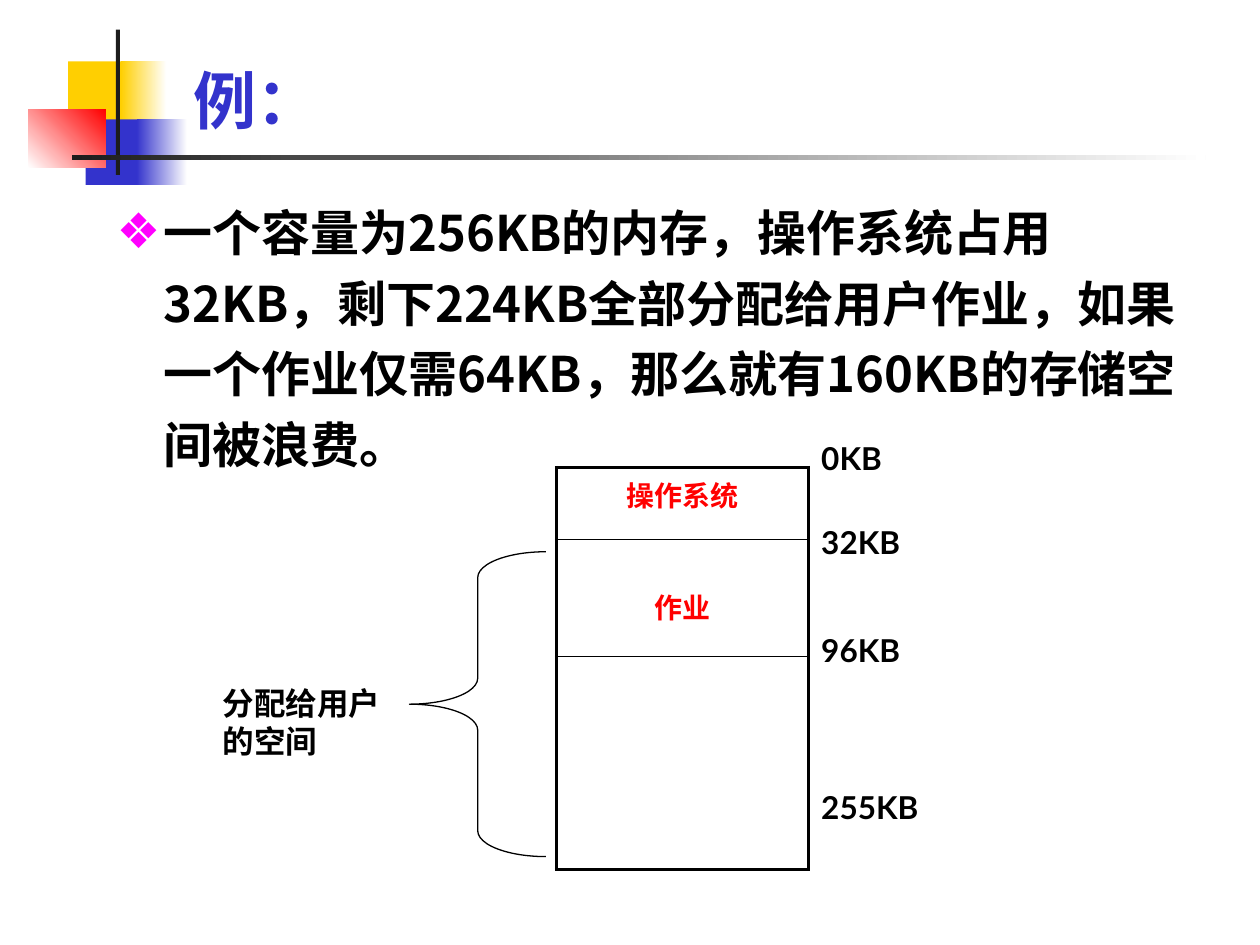
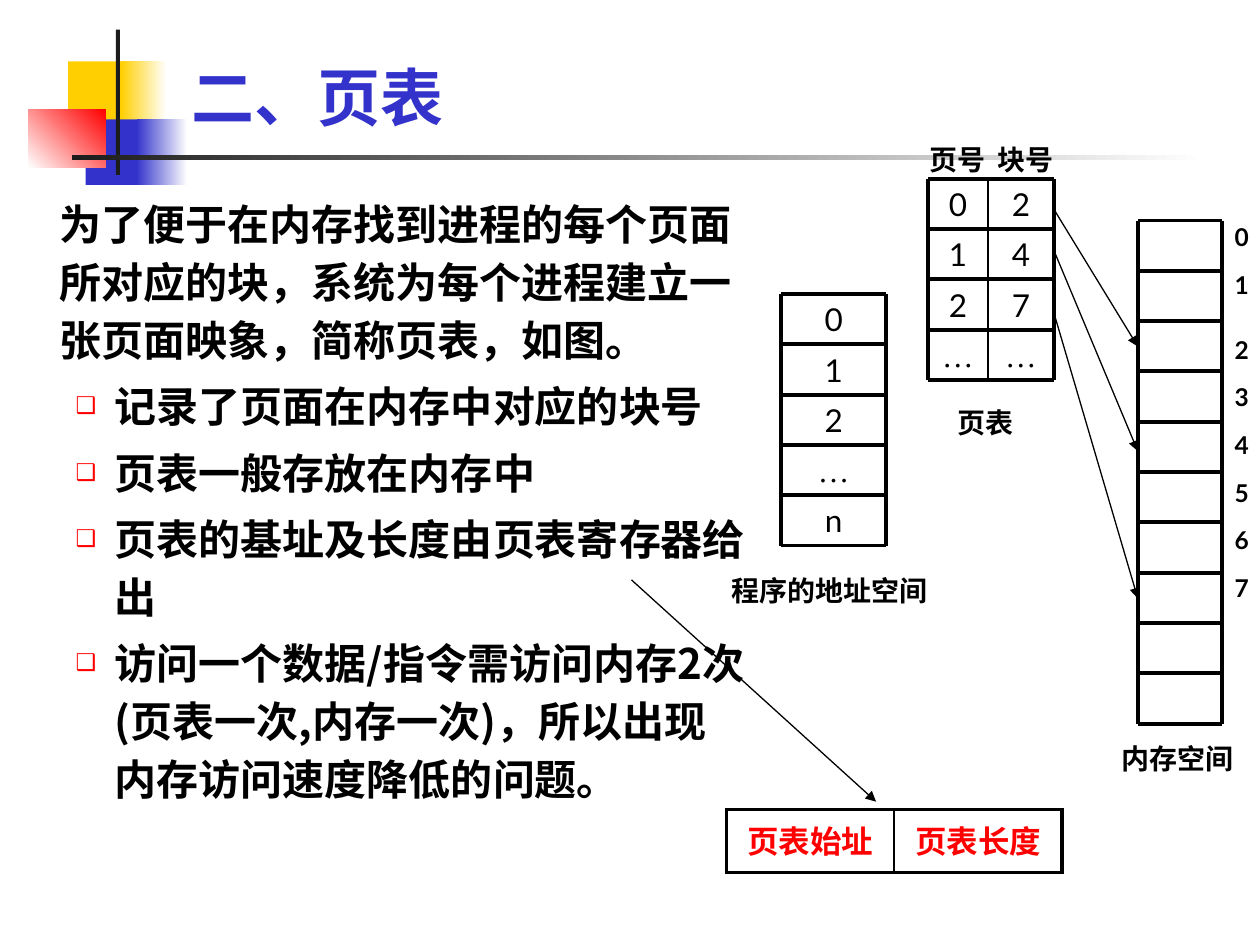
from dataclasses import dataclass
from itertools import accumulate

from lxml.etree import SubElement
from pptx import Presentation
from pptx.dml.color import RGBColor
from pptx.enum.shapes import MSO_CONNECTOR, MSO_SHAPE
from pptx.enum.text import MSO_ANCHOR, MSO_AUTO_SIZE, PP_ALIGN
from pptx.oxml.ns import qn
from pptx.util import Pt


@dataclass(frozen=True)
class Theme:
    """Colours, fonts, type sizes and line widths of the presentation."""

    black: str = "000000"
    ink: str = "1C1C1C"
    white: str = "FFFFFF"
    blue: str = "3333CC"
    yellow: str = "FFCF01"
    red: str = "FF0000"
    magenta: str = "FF00FF"
    font: str = "Lato"
    body_font: str = "Noto Sans CJK SC"
    ellipsis_font: str = "Times New Roman"
    title_size: float = 36
    lead_size: float = 28
    body_size: float = 24
    cell_size: float = 18
    label_size: float = 16
    number_size: float = 14
    thick: float = 2.25
    medium: float = 1
    thin: float = 0.75


THEME = Theme()


def points(*values):
    """Convert numbers to lengths in points."""
    return [Pt(value) for value in values]


def add_bullet(paragraph, character, color, percent):
    """Give a paragraph a bullet, or switch the inherited one off."""
    properties = paragraph._p.get_or_add_pPr()
    if character is None:
        SubElement(properties, qn("a:buNone"))
        return
    bullet_color = SubElement(properties, qn("a:buClr"))
    SubElement(bullet_color, qn("a:srgbClr"), val=color)
    SubElement(properties, qn("a:buSzPct"), val=str(percent * 1000))
    SubElement(properties, qn("a:buChar"), char=character)


def write(paragraph, text, size=THEME.label_size, color=THEME.black, font=THEME.font,
          bold=True, align=PP_ALIGN.LEFT, line_spacing=None, before=0):
    """Fill a paragraph with one formatted run."""
    paragraph.alignment = align
    paragraph.space_before = Pt(before)
    if line_spacing is not None:
        paragraph.line_spacing = line_spacing
    run = paragraph.add_run()
    run.text = text
    run.font.size = Pt(size)
    run.font.bold = bold
    run.font.name = font
    run.font.color.rgb = RGBColor.from_string(color)
    SubElement(run._r.get_or_add_rPr(), qn("a:ea"), typeface=font)


def add_label(slide, box, text, **text_format):
    """Add a wrapped text box centred vertically on its box."""
    frame = slide.shapes.add_textbox(*points(*box)).text_frame
    frame.word_wrap = True
    frame.vertical_anchor = MSO_ANCHOR.MIDDLE
    write(frame.paragraphs[0], text, **text_format)


def add_line(slide, start, end, width=THEME.thin, arrow=False):
    """Add a straight line between two points, with an arrowhead on request."""
    connector = slide.shapes.add_connector(MSO_CONNECTOR.STRAIGHT, *points(*start, *end))
    connector.line.color.rgb = RGBColor.from_string(THEME.black)
    connector.line.width = Pt(width)
    if arrow:
        SubElement(connector.line._get_or_add_ln(), qn("a:tailEnd"), type="triangle")
    SubElement(connector.element.spPr, qn("a:effectLst"))


def add_cell_borders(cell, widths):
    """Draw the left, right, top and bottom borders of a cell."""
    properties = cell._tc.get_or_add_tcPr()
    for side, width in zip("LRTB", widths):
        border = SubElement(properties, qn(f"a:ln{side}"), w=str(Pt(width)))
        fill = SubElement(border, qn("a:solidFill"))
        SubElement(fill, qn("a:srgbClr"), val=THEME.black)


def add_table(slide, left, top, columns, rows, texts, offsets, **text_format):
    """Add an unfilled table with a thick frame and texts offset from each row's top."""
    shape = slide.shapes.add_table(len(rows), len(columns),
                                   *points(left, top, sum(columns), sum(rows)))
    table = shape.table
    table.first_row = table.horz_banding = False
    for column, width in zip(table.columns, columns):
        column.width = Pt(width)
    for row_index, height in enumerate(rows):
        table.rows[row_index].height = Pt(height)
        for column_index in range(len(columns)):
            cell = table.cell(row_index, column_index)
            outer = (column_index == 0, column_index == len(columns) - 1,
                     row_index == 0, row_index == len(rows) - 1)
            add_cell_borders(cell, [THEME.thick if side else THEME.medium for side in outer])
            cell.fill.background()
            cell.margin_top = Pt(offsets[row_index])
            cell.margin_bottom = Pt(0)
            text = texts[row_index][column_index]
            if text:
                write(cell.text_frame.paragraphs[0], text, align=PP_ALIGN.CENTER,
                      color=THEME.red, **text_format)


def add_ruled_grid(slide, left, top, columns, row, row_count, texts=()):
    """Draw a grid of ruled lines with a centred text in each cell."""
    edges = list(accumulate(columns, initial=left))
    right, bottom = edges[-1], top + row * row_count
    for row_index, row_texts in enumerate(texts):
        for edge, width, text in zip(edges, columns, row_texts):
            add_label(slide, (edge, top + row * row_index, width, row), text,
                      size=THEME.cell_size, bold=False, align=PP_ALIGN.CENTER,
                      font=THEME.ellipsis_font if text == "…" else THEME.font)
    for edge in edges:
        width = THEME.thick if edge in (left, right) else THEME.medium
        add_line(slide, (edge, top), (edge, bottom), width)
    for row_index in range(row_count + 1):
        height = top + row * row_index
        add_line(slide, (left, height), (right, height), THEME.thick)


def add_layout_band(slide):
    """Place the coloured blocks and rules on the layout the slides share."""
    blocks = [
        ((38.9, 35, 34.6, 37.5), (THEME.yellow,), 0),
        ((69.1, 35, 26, 37.5), (THEME.yellow, THEME.white), 0),
        ((49, 68.2, 33, 37.5), (THEME.blue,), 0),
        ((78, 68.2, 29, 37.5), (THEME.blue, THEME.white), 0),
        ((16.2, 62.5, 44.2, 33.3), (THEME.white, THEME.red), 45),
        ((66.2, 17, 2.3, 83), (THEME.ink,), 0),
        ((41, 88.5, 648, 2.8), (THEME.ink, THEME.white), 0),
    ]
    layout_tree = slide.slide_layout.shapes.element
    for number, (box, colors, angle) in enumerate(blocks):
        shape = slide.shapes.add_shape(MSO_SHAPE.RECTANGLE, *points(*box))
        shape.shadow.inherit = False
        shape.line.fill.background()
        if len(colors) == 1:
            shape.fill.solid()
            shape.fill.fore_color.rgb = RGBColor.from_string(colors[0])
        else:
            shape.fill.gradient()
            shape.fill.gradient_angle = angle
            for stop, color, position in zip(shape.fill.gradient_stops, colors, (0, 1)):
                stop.color.rgb = RGBColor.from_string(color)
                stop.position = position
        shape.element.nvSpPr.cNvPr.set("id", str(100 + number))
        layout_tree.append(shape.element)


def place(placeholder, box, anchor):
    """Move a placeholder to a box and return its text frame."""
    placeholder.left, placeholder.top, placeholder.width, placeholder.height = points(*box)
    frame = placeholder.text_frame
    frame.word_wrap = True
    frame.auto_size = MSO_AUTO_SIZE.NONE
    frame.vertical_anchor = anchor
    return frame


def fill_title(slide, box, text):
    """Write the slide title."""
    frame = place(slide.shapes.title, box, MSO_ANCHOR.BOTTOM)
    write(frame.paragraphs[0], text, size=THEME.title_size, color=THEME.blue)


def fill_body(slide, box, items, size, spacing):
    """Write body items given as text, level, margin, indent and bullet."""
    frame = place(slide.placeholders[1], box, MSO_ANCHOR.TOP)
    for index, (text, level, margin, indent, bullet) in enumerate(items):
        paragraph = frame.add_paragraph() if index else frame.paragraphs[0]
        write(paragraph, text, size=size, font=THEME.body_font,
              line_spacing=Pt(spacing), before=size * 0.2)
        paragraph.level = level
        properties = paragraph._p.get_or_add_pPr()
        properties.set("marL", str(Pt(margin)))
        properties.set("indent", str(Pt(indent)))
        add_bullet(paragraph, *bullet)


def add_memory_map(slide, left, top):
    """Draw the single-job memory map with its addresses and user-space brace."""
    add_table(slide, left, top, [144], [41.3, 66.9, 121.5], [["操作系统"], ["作业"], [""]],
              offsets=[6.8, 29.2, 0])
    for text, middle in (("0KB", -5.3), ("32KB", 42.7), ("96KB", 104.5), ("255KB", 194.1)):
        add_label(slide, (left + 144.2, top + middle - 14, 84, 28), text, size=THEME.cell_size)
    brace = slide.shapes.add_shape(MSO_SHAPE.LEFT_BRACE,
                                   *points(left - 84, top + 48.2, 78, 174.2))
    brace.adjustments[0], brace.adjustments[1] = 0.19, 0.5
    brace.shadow.inherit = False
    brace.fill.background()
    brace.line.color.rgb = RGBColor.from_string(THEME.black)
    brace.line.width = Pt(THEME.thin)
    add_label(slide, (left - 197.8, top + 120.4, 114, 50.4), "分配给用户的空间",
              size=THEME.cell_size)


def add_address_space(slide, left, top, row):
    """Draw the program's pages and their caption."""
    add_ruled_grid(slide, left, top, [60], row, 5, "012…n")
    add_label(slide, (left - 35.4, top + 156.2, 140.4, 26.6), "程序的地址空间")


def add_page_table(slide, left, top, row):
    """Draw the page table with its headings and caption."""
    add_ruled_grid(slide, left, top, [34, 38], row, 4, ["02", "14", "27", "……"])
    for text, offset in (("页号", -6.4), ("块号", 32.8)):
        add_label(slide, (left + offset, top - 24.4, 48, 26.6), text)
    add_label(slide, (left - 6.2, top + 126, 78, 26.6), "页表", align=PP_ALIGN.CENTER)


def add_memory_space(slide, left, top, row):
    """Draw the memory blocks, their numbers and caption."""
    add_ruled_grid(slide, left, top, [48.2], row, 10)
    frame = slide.shapes.add_textbox(*points(left + 48.2, top - 5.9, 21.4, 293.8)).text_frame
    frame.word_wrap = True
    frame.margin_right = Pt(0)
    for number in range(8):
        paragraph = frame.add_paragraph() if number else frame.paragraphs[0]
        write(paragraph, str(number), size=THEME.number_size, before=7,
              line_spacing=1.8 if number == 2 else 1.2)
    add_label(slide, (left - 24.2, top + 293.8, 94, 26.6), "内存空间",
              align=PP_ALIGN.CENTER)


def build_example(slide):
    """Build the slide on wasted memory."""
    fill_title(slide, (103.2, 20.6, 460.8, 61.2), "例：")
    text = ("一个容量为256KB的内存，操作系统占用32KB，剩下224KB全部分配给用户作业，"
            "如果一个作业仅需64KB，那么就有160KB的存储空间被浪费。")
    fill_body(slide, (59.4, 105.3, 629.5, 136),
              [(text, 0, 27, -27, ("❖", THEME.magenta, 100))], THEME.lead_size, 40.4)
    add_memory_map(slide, 318, 267.1)


def build_page_table(slide):
    """Build the slide on page tables."""
    fill_title(slide, (102.2, 20.2, 311.8, 59.8), "二、页表")
    lead = "为了便于在内存找到进程的每个页面所对应的块，系统为每个进程建立一张页面映象，简称页表，如图。"
    points_listed = (
        "记录了页面在内存中对应的块号",
        "页表一般存放在内存中",
        "页表的基址及长度由页表寄存器给出",
        "访问一个数据/指令需访问内存2次(页表一次,内存一次)，所以出现内存访问速度降低的问题。",
    )
    items = [(lead, 0, 27, 0, (None, None, None))]
    items += [(text, 1, 58.5, -22.5, ("❑", THEME.red, 55)) for text in points_listed]
    fill_body(slide, (0, 105.5, 433.4, 408.2), items, THEME.body_size, 33.1)
    add_table(slide, 415, 462.6, [96, 96], [36], [["页表始址", "页表长度"]],
              offsets=[7.2], size=THEME.cell_size)
    add_line(slide, (360.9, 331.4), (500.6, 458.1), arrow=True)
    row = 28.75
    add_address_space(slide, 446.4, 168, row)
    add_page_table(slide, 530.4, 102.2, row)
    add_memory_space(slide, 650.2, 126, row)
    for start, end in ((120.2, 198), (144, 257.8), (180, 342)):
        add_line(slide, (602.6, start), (650.2, end), arrow=True)


def main():
    """Build and save the presentation."""
    presentation = Presentation()
    presentation.slide_width, presentation.slide_height = points(720, 540)
    layout = presentation.slide_layouts[1]
    for index, build in enumerate((build_example, build_page_table)):
        slide = presentation.slides.add_slide(layout)
        if index == 0:
            add_layout_band(slide)
        build(slide)
    presentation.save("out.pptx")


if __name__ == "__main__":
    main()
